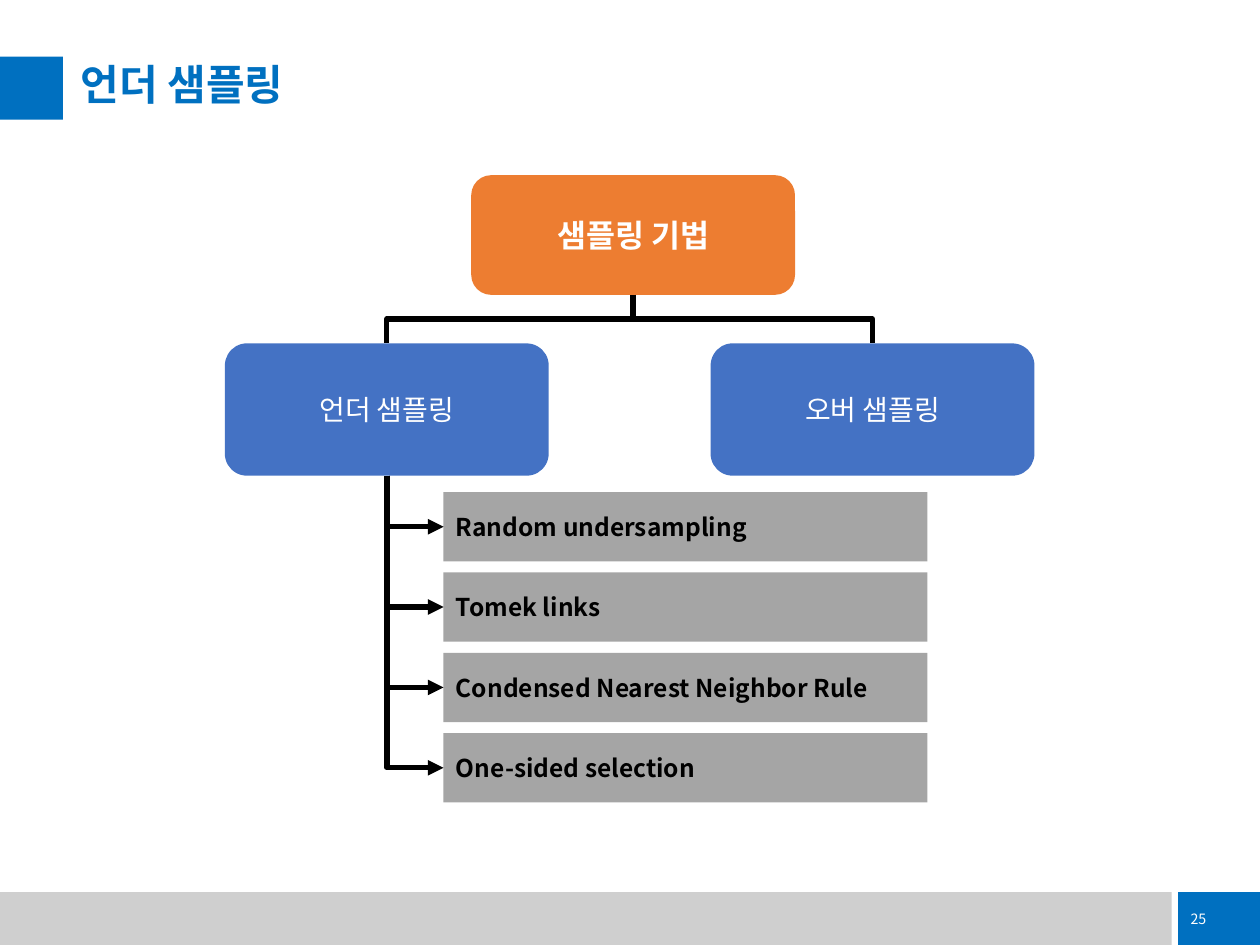
from lxml import etree
from pptx import Presentation
from pptx.dml.color import RGBColor
from pptx.enum.shapes import MSO_CONNECTOR, MSO_SHAPE
from pptx.enum.text import MSO_ANCHOR, PP_ALIGN
from pptx.oxml.ns import qn
from pptx.util import Inches, Pt

ELBOW = MSO_CONNECTOR.ELBOW
RECT, ROUND = MSO_SHAPE.RECTANGLE, MSO_SHAPE.ROUNDED_RECTANGLE
MIDDLE, TOP = MSO_ANCHOR.MIDDLE, MSO_ANCHOR.TOP
LEFT, CENTER = PP_ALIGN.LEFT, PP_ALIGN.CENTER
COLS, ROWS = 100, 75
BLUE, WHITE, BLACK = "0070C0", "FFFFFF", "000000"
ORANGE, NAVY, GRAY, SILVER = "ED7D31", "4472C4", "A5A5A5", "CFCFCF"


def color(code):
    """Turn a hex string into a colour."""
    return RGBColor.from_string(code)


class Board:
    """Draw styled elements on one slide, placed by grid columns and rows."""

    def __init__(self, deck, font):
        self.font = font
        self.slide = deck.slides.add_slide(deck.slide_layouts[6])
        self.shapes = self.slide.shapes
        self.col = deck.slide_width / COLS
        self.row = deck.slide_height / ROWS

    def place(self, x, y, w, h):
        """Turn grid units into slide lengths."""
        return (round(x * self.col), round(y * self.row),
                round(w * self.col), round(h * self.row))

    def label(self, shape, text, size, ink, bold=False, align=LEFT, anchor=MIDDLE):
        """Put one styled paragraph into a shape."""
        frame = shape.text_frame
        frame.word_wrap = True
        frame.vertical_anchor = anchor
        para = frame.paragraphs[0]
        para.text = text
        para.alignment = align
        font = para.font
        font.size, font.bold, font.name = Pt(size), bold, self.font
        font.color.rgb = color(ink)
        props = para._p.pPr.find(qn("a:defRPr"))
        etree.SubElement(props, qn("a:ea"), typeface=self.font)
        return para

    def box(self, kind, area, fill):
        """Add a plain filled shape."""
        shape = self.shapes.add_shape(kind, *self.place(*area))
        shape.shadow.inherit = False
        shape.fill.solid()
        shape.fill.fore_color.rgb = color(fill)
        shape.line.fill.background()
        return shape

    def title(self, area, text):
        """Add the slide title."""
        shape = self.shapes.add_textbox(*self.place(*area))
        frame = shape.text_frame
        frame.margin_left = frame.margin_right = 0
        frame.margin_top = frame.margin_bottom = 0
        self.label(shape, text, 24, BLUE, True, anchor=TOP).line_spacing = 0.9

    def node(self, area, text, fill, size, bold=False):
        """Add a rounded node with centred text."""
        shape = self.box(ROUND, area, fill)
        self.label(shape, text, size, WHITE, bold, CENTER)
        return shape

    def bar(self, area, text):
        """Add a gray bar with bold text."""
        shape = self.box(RECT, area, GRAY)
        self.label(shape, text, 14, BLACK, True)
        return shape

    def link(self, start, end, side, arrow=False):
        """Join the bottom of one shape to a side of another by an elbow."""
        x1, y1 = start.left + start.width // 2, start.top + start.height
        x2, y2 = end.left, end.top
        if side == 0:
            x2 += end.width // 2
        else:
            y2 += end.height // 2
        line = self.shapes.add_connector(ELBOW, x1, y1, x2, y2)
        line.begin_connect(start, 2)
        line.end_connect(end, side)
        wide, tall = y2 - y1, abs(x2 - x1)
        line.left, line.top = (x1 + x2 - wide) // 2, (y1 + y2 - tall) // 2
        line.width, line.height = wide, tall
        props = line._element.spPr
        frame = props.find(qn("a:xfrm"))
        right = x2 > x1
        frame.set("rot", "16200000" if right else "5400000")
        frame.set("flipH", "1" if right else "0")
        frame.set("flipV", "0")
        if side == 1:
            props.find(qn("a:prstGeom")).set("prst", "bentConnector2")
        line.line.width = Pt(3)
        line.line.color.rgb = color(BLACK)
        if arrow:
            etree.SubElement(props.find(qn("a:ln")), qn("a:tailEnd"), type="triangle")
        etree.SubElement(props, qn("a:effectLst"))


def main():
    """Build the sampling slide."""
    deck = Presentation()
    deck.slide_width, deck.slide_height = Inches(10), Inches(7.5)
    board = Board(deck, "Noto Sans CJK KR")

    board.box(RECT, (0, 70.8, 93, 4.2), SILVER)
    page = board.box(RECT, (93.5, 70.8, 6.5, 4.2), BLUE)
    board.label(page, "25", 8.1, WHITE)
    board.box(RECT, (0, 4.5, 5, 5), BLUE)
    board.title((6.4, 5.1, 90.1, 3.8), "언더 샘플링")

    root = board.node((37.4, 13.9, 25.7, 9.5), "샘플링 기법", ORANGE, 18, True)
    under, over = [
        board.node((x, 27.25, 25.7, 10.5), text, NAVY, 16)
        for x, text in ((17.85, "언더 샘플링"), (56.4, "오버 샘플링"))
    ]
    for node in (under, over):
        board.link(root, node, 0)

    names = ("Random undersampling", "Tomek links",
             "Condensed Nearest Neighbor Rule", "One-sided selection")
    for i, name in enumerate(names):
        bar = board.bar((35.2, 39.05 + 6.38 * i, 38.4, 5.5), name)
        board.link(under, bar, 1, True)

    deck.save("out.pptx")


if __name__ == "__main__":
    main()
